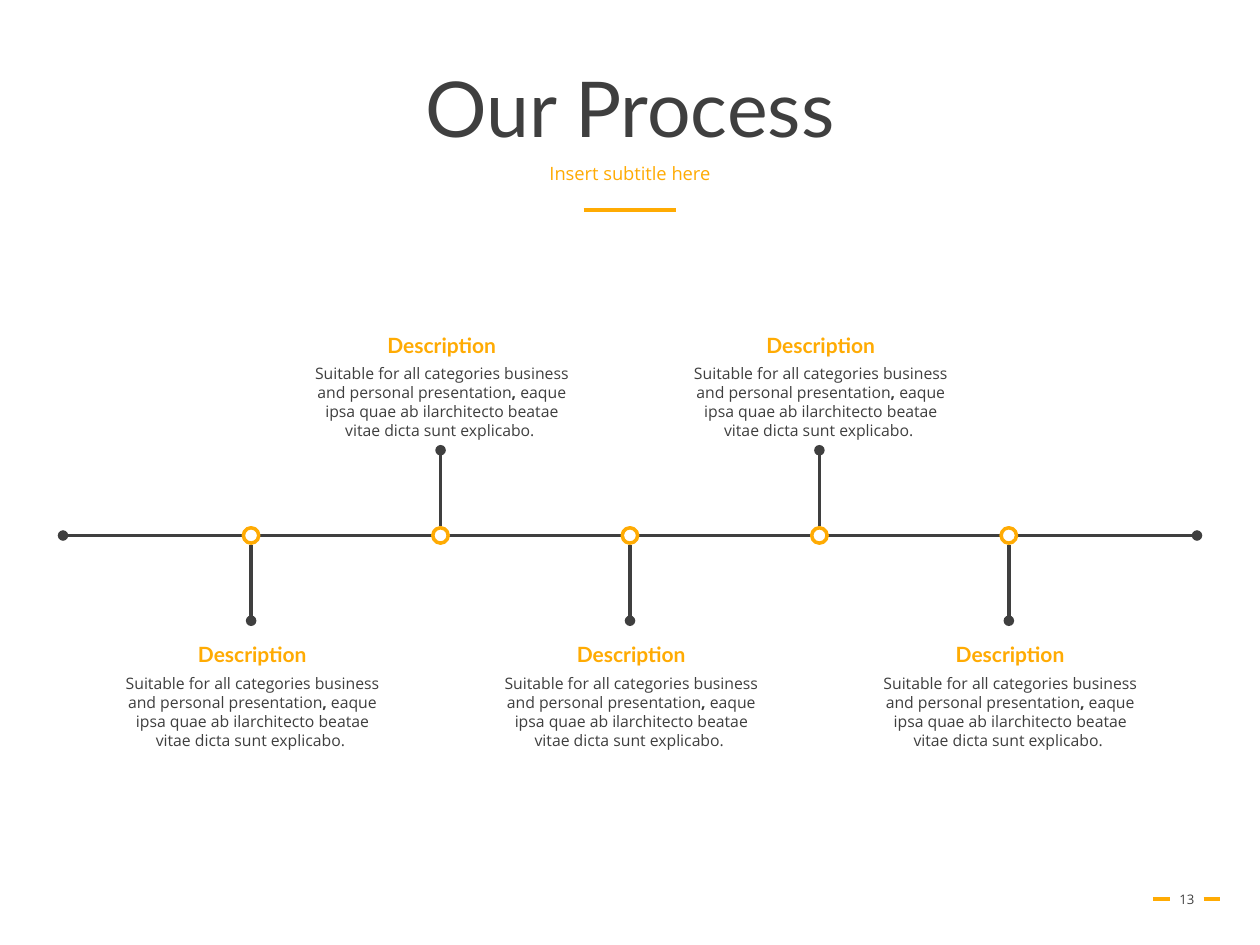
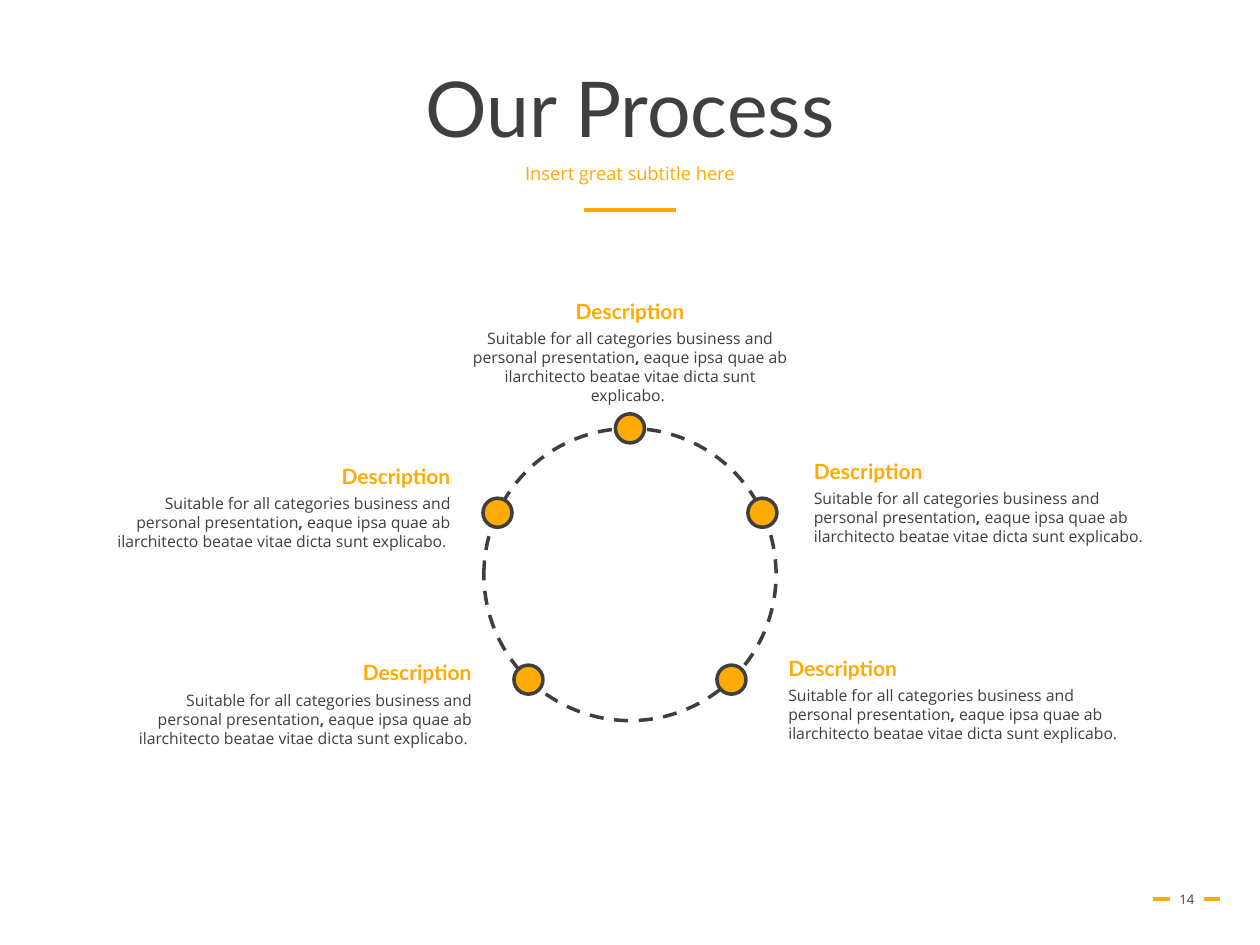
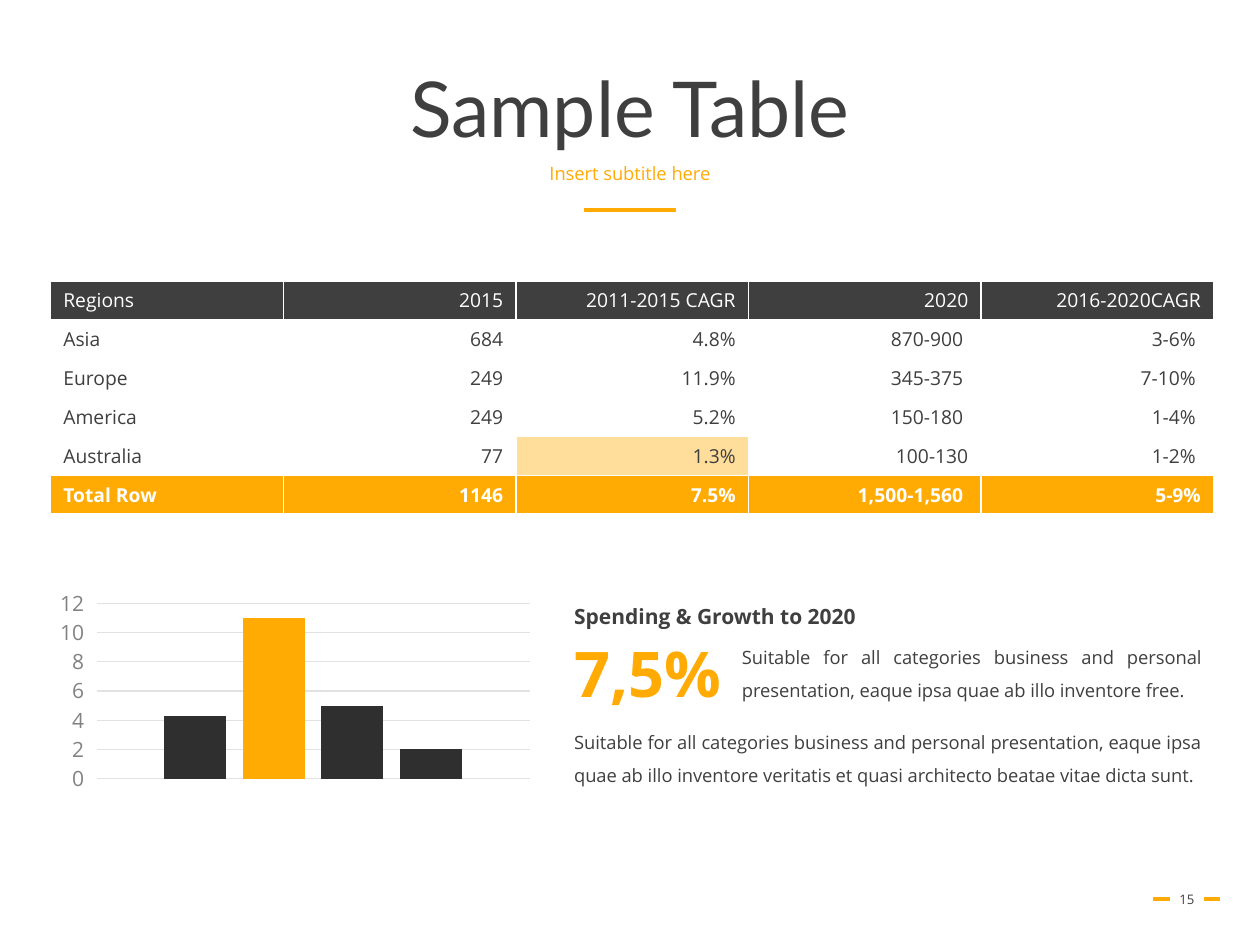
from math import cos, radians, sin

from lxml.etree import SubElement
from pptx import Presentation
from pptx.chart.data import CategoryChartData
from pptx.dml.color import RGBColor
from pptx.enum.chart import XL_CHART_TYPE as ChartType, XL_TICK_MARK as TickMark
from pptx.enum.dml import MSO_LINE as Dash
from pptx.enum.shapes import MSO_CONNECTOR as Connector, MSO_SHAPE as Shape
from pptx.enum.text import MSO_ANCHOR as Anchor, MSO_AUTO_SIZE as AutoSize, PP_ALIGN as Align
from pptx.oxml import parse_xml
from pptx.oxml.ns import nsdecls, qn
from pptx.util import Pt

# Shared style
ORANGE = RGBColor(0xFF, 0xAB, 0x03)
DARK = RGBColor(0x3F, 0x3F, 0x3F)
WHITE = RGBColor(0xFF, 0xFF, 0xFF)
BAR = RGBColor(0x2F, 0x2F, 0x2F)
AXIS_TEXT = RGBColor(0x82, 0x82, 0x82)
GRID = RGBColor(0xE2, 0xE2, 0xE2)
HEADING_FONT = "Lato"
BODY_FONT = "Open Sans"
LINE_HEIGHT = 1.2
PITCH = 108.25
CENTER = 360

CAPTION = (
    ("Suitable for all categories business and personal presentation", False),
    (",", True),
    (" eaque ipsa quae ab ilarchitecto beatae vitae dicta sunt explicabo. ", False),
)


def write_text(frame, text, size=9, font=BODY_FONT, color=DARK, bold=False,
               align=Align.LEFT, spacing=None, before=None):
    """Fill the first paragraph; text is a string or (string, bold) pairs."""
    paragraph = frame.paragraphs[0]
    paragraph.alignment = align
    if spacing is not None:
        paragraph.line_spacing = spacing
    if before is not None:
        paragraph.space_before = Pt(before)
    for part, part_bold in ([(text, bold)] if isinstance(text, str) else text):
        run = paragraph.add_run()
        run.text = part
        run.font.size = Pt(size)
        run.font.name = font
        run.font.bold = part_bold
        run.font.color.rgb = color


class Deck:
    def __init__(self):
        self.presentation = Presentation()
        self.presentation.slide_width = Pt(720)
        self.presentation.slide_height = Pt(540)
        self.slide = None

    def new_slide(self, title, subtitle, number):
        self.slide = self.presentation.slides.add_slide(self.presentation.slide_layouts[6])
        self.line(333.5, 120, 386.5, 120, ORANGE, 1.75)
        for left in (658.8, 687.8):
            self.line(left, 513.7, left + 9.5, 513.7, ORANGE, 1.75)
        self.text(49.7, 28.8, 620.6, 70.6, title, size=44, font=HEADING_FONT,
                  align=Align.CENTER, spacing=0.9, anchor=Anchor.MIDDLE, grow=False)
        self.text(662.4, 499.7, 31.7, 28.8, str(number), size=7.5,
                  align=Align.CENTER, anchor=Anchor.MIDDLE, grow=False)
        self.text(49.7, 90.7, 620.6, 28.8, subtitle, size=10.5, color=ORANGE,
                  align=Align.CENTER, spacing=0.9, before=10, grow=False)

    def text(self, left, top, width, height, text, anchor=Anchor.TOP,
             wrap=True, grow=True, **style):
        box = self.slide.shapes.add_textbox(Pt(left), Pt(top), Pt(width), Pt(height))
        frame = box.text_frame
        frame.word_wrap = wrap
        frame.auto_size = AutoSize.SHAPE_TO_FIT_TEXT if grow else AutoSize.NONE
        frame.vertical_anchor = anchor
        write_text(frame, text, **style)

    def paragraph(self, left, top, width, height, text, size=10.5, **style):
        """Justified text with one and a half line spacing."""
        self.text(left, top, width, height, text, size=size, align=Align.JUSTIFY,
                  spacing=Pt(1.5 * LINE_HEIGHT * size), **style)

    def caption(self, x, top, align=Align.CENTER, width=205, height=40.3, gap=17.5):
        """Heading over a description, both aligned on x."""
        share = {Align.LEFT: 0, Align.CENTER: 0.5, Align.RIGHT: 1}[align]
        self.text(x - share * width, top + gap, width, height, CAPTION,
                  align=align, spacing=Pt(9 * LINE_HEIGHT))
        self.text(x - share * 123, top, 123, 21.6, "Description", size=12,
                  font=HEADING_FONT, color=ORANGE, bold=True, align=align)

    def line(self, x1, y1, x2, y2, color=DARK, width=2, ovals=()):
        """Straight line; ovals names the ends (headEnd, tailEnd) with a dot."""
        connector = self.slide.shapes.add_connector(
            Connector.STRAIGHT, Pt(x1), Pt(y1), Pt(x2), Pt(y2))
        connector.line.color.rgb = color
        connector.line.width = Pt(width)
        outline = connector.line._get_or_add_ln()
        for end in ovals:
            SubElement(outline, qn("a:" + end), type="oval")
        SubElement(connector._element.spPr, qn("a:effectLst"))

    def circle(self, x, y, diameter, line, fill=None, dash=None):
        shape = self.slide.shapes.add_shape(
            Shape.OVAL, Pt(x - diameter / 2), Pt(y - diameter / 2), Pt(diameter), Pt(diameter))
        shape.shadow.inherit = False
        if fill is None:
            shape.fill.background()
        else:
            shape.fill.solid()
            shape.fill.fore_color.rgb = fill
        shape.line.color.rgb = line
        shape.line.width = Pt(2)
        if dash is not None:
            shape.line.dash_style = dash

    def table(self, left, top, column_width, row_height, rows, highlight):
        """Dark header row, orange total row, one tinted cell."""
        columns = len(rows[0])
        table = self.slide.shapes.add_table(
            len(rows), columns, Pt(left), Pt(top),
            Pt(column_width * columns), Pt(row_height * len(rows))).table
        table.first_row = table.horz_banding = False
        row_fills = {0: DARK, len(rows) - 1: ORANGE}
        for r, row in enumerate(rows):
            for c, value in enumerate(row):
                cell = table.cell(r, c)
                fill = ORANGE if (r, c) == highlight else row_fills.get(r)
                write_text(cell.text_frame, value, size=11, bold=r == len(rows) - 1,
                           color=WHITE if r in row_fills else DARK,
                           align=Align.RIGHT if c else Align.LEFT)
                if fill is None:
                    cell.fill.background()
                else:
                    cell.fill.solid()
                    cell.fill.fore_color.rgb = fill
                properties = cell._tc.get_or_add_tcPr()
                if (r, c) == highlight:
                    color = properties.find(".//" + qn("a:srgbClr"))
                    SubElement(color, qn("a:alpha"), val="40000")
                # Borders come before the fill
                for index, side in enumerate(("lnL", "lnR", "lnT", "lnB")):
                    properties.insert(index, parse_xml(
                        f'<a:{side} {nsdecls("a")} w="12700"><a:solidFill>'
                        f'<a:srgbClr val="{WHITE}"/></a:solidFill></a:{side}>'))

    def column_chart(self, left, top, width, height, values, colors):
        data = CategoryChartData()
        data.categories = ["1"]
        for index, value in enumerate(values, 1):
            data.add_series(f"Series {index}", [value])
        chart = self.slide.shapes.add_chart(
            ChartType.COLUMN_CLUSTERED, Pt(left), Pt(top), Pt(width), Pt(height), data).chart
        chart.has_legend = chart.has_title = False
        chart.font.size = Pt(10)
        chart.font.name = BODY_FONT
        chart.font.color.rgb = DARK
        plot = chart.plots[0]
        plot.vary_by_categories = False
        plot.gap_width = 219
        plot.overlap = -27
        for series, color in zip(plot.series, colors):
            series.format.fill.solid()
            series.format.fill.fore_color.rgb = color
        chart.category_axis.visible = False
        axis = chart.value_axis
        axis.major_tick_mark = TickMark.OUTSIDE
        axis.format.line.fill.background()
        axis.major_gridlines.format.line.color.rgb = GRID
        axis.major_gridlines.format.line.width = Pt(0.75)
        labels = axis.tick_labels.font
        labels.size = Pt(12)
        labels.name = BODY_FONT
        labels.color.rgb = AXIS_TEXT


deck = Deck()

# Slide 13: timeline with steps below and above in turn
deck.new_slide("Our Process", "Insert subtitle here", 13)
axis_y = 306
deck.line(36, axis_y, 684, axis_y, ovals=("headEnd", "tailEnd"))
for step in range(5):
    x = CENTER + PITCH * (step - 2)
    above = step % 2
    side = -1 if above else 1
    deck.circle(x, axis_y, 8.8, ORANGE, WHITE)
    deck.line(x, axis_y + side * 48.7, x, axis_y + side * 5.5, ovals=("headEnd",))
    deck.caption(x + 0.7, 186.5 if above else 362.9, width=165, height=51.1,
                 gap=17.8 if above else 18.7)

# Slide 14: steps around a dashed ring
deck.new_slide("Our Process", "Insert great subtitle here", 14)
ring_y, radius = 328.3, 83.5
deck.circle(CENTER, ring_y, 2 * radius, DARK, dash=Dash.DASH)
for angle in (-90, -25, 46, 134, 205):
    deck.circle(CENTER + radius * cos(radians(angle)),
                ring_y + radius * sin(radians(angle)), 16.6, DARK, ORANGE)
deck.caption(CENTER, 167, width=198.7, height=51.1)
for x, top, align in ((458, 258.3, Align.LEFT), (443.4, 371, Align.LEFT),
                      (264.4, 261.3, Align.RIGHT), (276.6, 373.6, Align.RIGHT)):
    deck.caption(x, top, align)

# Slide 15: table, chart and key figure
deck.new_slide("Sample Table", "Insert subtitle here", 15)
deck.table(29, 160.5, 132.9, 21.6, (
    ("Regions", "2015", "2011-2015 CAGR", "2020", "2016-2020CAGR"),
    ("Asia", "684", "4.8%", "870-900 ", "3-6% "),
    ("Europe", "249", "11.9%", "345-375 ", "7-10% "),
    ("America", "249", "5.2%", "150-180 ", "1-4% "),
    ("Australia", "77", "1.3%", "100-130", "1-2% "),
    ("Total Row", "1146", "7.5%", "1,500-1,560 ", "5-9%"),
), highlight=(4, 2))
deck.column_chart(28.8, 334, 279.4, 121.7, (4.3, 11, 5, 2), (BAR, ORANGE, BAR, BAR))
deck.paragraph(321, 408.2, 373, 64.8,
               "Suitable for all categories business and personal presentation, eaque ipsa quae "
               "ab illo inventore veritatis et quasi architecto beatae vitae dicta sunt.")
deck.paragraph(321, 334, 309, 28.8, "Spending & Growth to 2020", size=12, bold=True)
deck.text(321, 359.3, 99.4, 51.1, "7,5%", wrap=False, size=36, color=ORANGE, bold=True)
deck.paragraph(416.9, 359.3, 277.2, 45.4,
               "Suitable for all categories business and personal presentation, eaque ipsa quae "
               "ab illo inventore free.")

deck.presentation.save("out.pptx")
